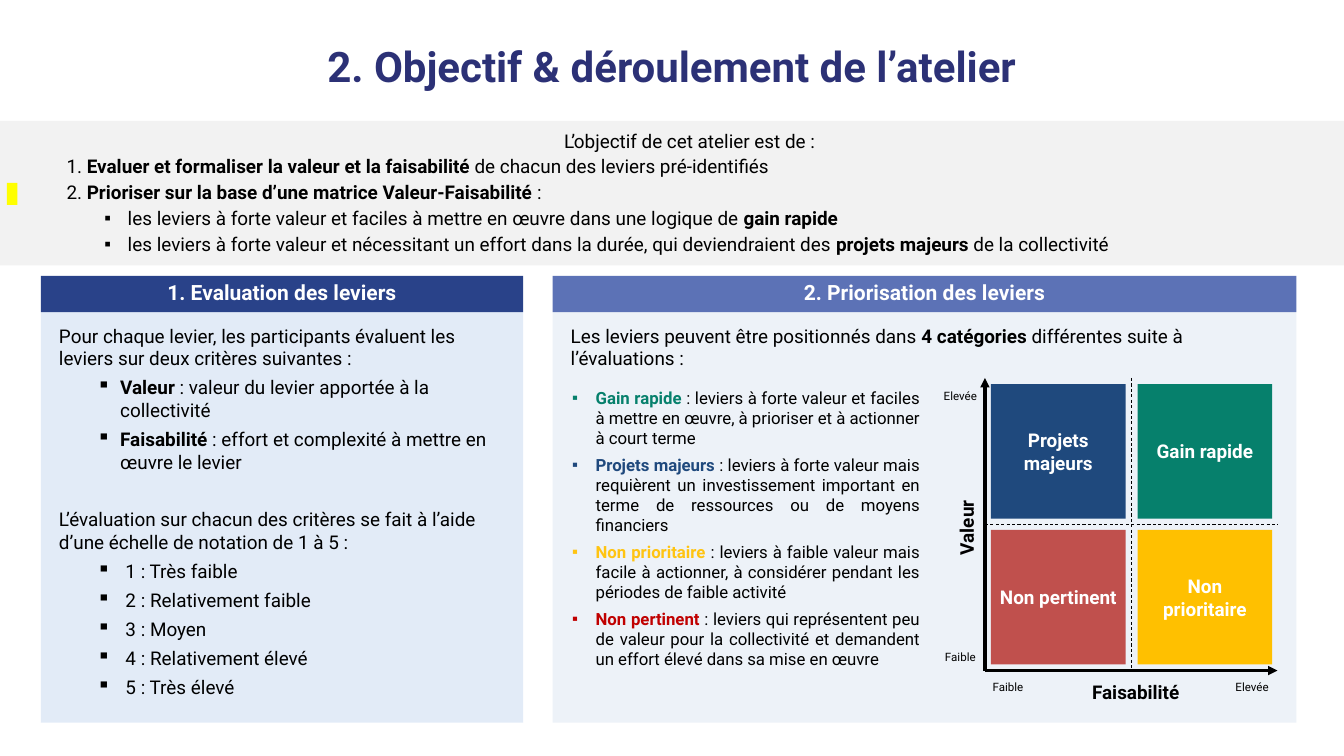
from dataclasses import dataclass

from lxml.etree import SubElement
from pptx import Presentation
from pptx.dml.color import RGBColor
from pptx.enum.dml import MSO_LINE
from pptx.enum.shapes import MSO_CONNECTOR, MSO_SHAPE
from pptx.enum.text import MSO_ANCHOR, MSO_AUTO_SIZE, PP_ALIGN
from pptx.oxml.ns import qn
from pptx.util import Pt


@dataclass(frozen=True)
class Theme:
    font: str = "Roboto"
    title: str = "2C3176"
    ink: str = "000000"
    white: str = "FFFFFF"
    band: str = "F2F2F2"
    marker: str = "FFFF00"
    evaluation: str = "294289"
    evaluation_panel: str = "C6D9F1"
    priority: str = "5C72B6"
    priority_panel: str = "DCE6F2"
    green: str = "06806C"
    blue: str = "1F497D"
    yellow: str = "FFC000"
    yellow_text: str = "FFC412"
    red: str = "C0504D"
    red_text: str = "C00000"
    title_size: int = 40
    header_size: int = 20
    body_size: int = 18
    category_size: int = 16
    scale_size: int = 11


theme = Theme()
PX = 9144


def write(frame, text, size=theme.body_size, color=theme.ink, bold=False, bold_color=None,
          align=PP_ALIGN.LEFT, before=0, left=0, hang=0):
    first = not frame.paragraphs[0].runs
    paragraph = frame.paragraphs[0] if first else frame.add_paragraph()
    properties = paragraph._p.get_or_add_pPr()
    properties.set("marL", str(left * PX))
    properties.set("indent", str(-hang * PX))
    if hang:
        SubElement(properties, qn("a:buChar")).set("char", "▪")
    else:
        SubElement(properties, qn("a:buNone"))
    paragraph.alignment = align
    paragraph.space_before = Pt(0 if first else before)
    for index, part in enumerate(text.split("*")):
        if part:
            strong = index % 2 == 1
            run = paragraph.add_run()
            run.text = part
            run.font.name = theme.font
            run.font.size = Pt(size)
            run.font.bold = bold or strong
            run.font.color.rgb = RGBColor.from_string(bold_color if strong and bold_color else color)


def block(shapes, left, top, width, height, fill=None, anchor=MSO_ANCHOR.TOP):
    area = [side * PX for side in (left, top, width, height)]
    if fill:
        shape = shapes.add_shape(MSO_SHAPE.RECTANGLE, *area)
        shape.fill.solid()
        shape.fill.fore_color.rgb = RGBColor.from_string(fill)
        shape.line.fill.background()
        shape.shadow.inherit = False
    else:
        shape = shapes.add_textbox(*area)
    shape.text_frame.word_wrap = True
    shape.text_frame.vertical_anchor = anchor
    return shape


deck = Presentation()
deck.slide_width, deck.slide_height = 1778 * PX, 1000 * PX
slide = deck.slides.add_slide(deck.slide_layouts[3])
title, objectives, categories = slide.placeholders

for holder, area in (
    (title, (109, 52, 1559, 69)),
    (objectives, (78, 166, 1669, 178)),
    (categories, (747, 508, 480, 426)),
):
    holder.left, holder.top, holder.width, holder.height = [side * PX for side in area]
    holder.text_frame.auto_size = MSO_AUTO_SIZE.NONE
    holder.text_frame.word_wrap = True
    holder.text_frame.vertical_anchor = MSO_ANCHOR.TOP

title_frame = title.text_frame
title_frame.margin_left = title_frame.margin_right = title_frame.margin_bottom = 0
title_frame.margin_top = 2 * PX
write(title_frame, "2. Objectif & déroulement de l’atelier", size=theme.title_size,
      color=theme.title, bold=True, align=PP_ALIGN.CENTER)

block(slide.shapes, 0, 160, 1778, 191, theme.band)
block(slide.shapes, 9, 242, 14, 29, theme.marker)

panels = []
for left, width, heading, header_fill, panel_fill in (
    (54, 638, "1. Evaluation des leviers", theme.evaluation, theme.evaluation_panel),
    (731, 984, "2. Priorisation des leviers", theme.priority, theme.priority_panel),
):
    panel = block(slide.shapes, left, 413, width, 543, panel_fill)
    tint = panel._element.spPr.find(qn("a:solidFill")).find(qn("a:srgbClr"))
    SubElement(tint, qn("a:alpha")).set("val", "50000")
    panel.text_frame.margin_left = panel.text_frame.margin_right = 24 * PX
    panel.text_frame.margin_top = 16 * PX
    panels.append(panel.text_frame)
    header = block(slide.shapes, left, 365, width, 48, header_fill)
    write(header.text_frame, heading, size=theme.header_size, color=theme.white,
          bold=True, align=PP_ALIGN.CENTER)

evaluation, priority = panels
write(evaluation, "Pour chaque levier, les participants évaluent les leviers sur deux critères suivantes :")
for criterion in (
    "*Valeur* : valeur du levier apportée à la collectivité",
    "*Faisabilité* : effort et complexité à mettre en œuvre le levier",
):
    write(evaluation, criterion, before=6, left=81, hang=31)
write(evaluation, "L’évaluation sur chacun des critères se fait à l’aide d’une échelle de notation de 1 à 5 :",
      before=33)
for grade in ("1 : Très faible", "2 : Relativement faible", "3 : Moyen",
              "4 : Relativement élevé", "5 : Très élevé"):
    write(evaluation, grade, before=6, left=88, hang=38)

write(priority, "Les leviers peuvent être positionnés dans *4 catégories* différentes suite à l’évaluations :")

slide.shapes._spTree.append(categories._element)
for description, accent in (
    ("*Gain rapide* : leviers à forte valeur et faciles à mettre en œuvre, "
     "à prioriser et à actionner à court terme", theme.green),
    ("*Projets majeurs* : leviers à forte valeur mais requièrent un investissement important "
     "en terme de ressources ou de moyens financiers", theme.blue),
    ("*Non prioritaire* : leviers à faible valeur mais facile à actionner, "
     "à considérer pendant les périodes de faible activité", theme.yellow_text),
    ("*Non pertinent* : leviers qui représentent peu de valeur pour la collectivité "
     "et demandent un effort élevé dans sa mise en œuvre", theme.red_text),
):
    write(categories.text_frame, description, size=theme.category_size, bold_color=accent,
          align=PP_ALIGN.JUSTIFY, before=6, left=31, hang=31)

matrix = slide.shapes.add_group_shape().shapes
for start_x, start_y, end_x, end_y, is_axis in (
    (1303, 887, 1690, 887, True),
    (1303, 887, 1303, 500, True),
    (1303, 693, 1690, 693, False),
    (1497, 500, 1497, 887, False),
):
    rule = matrix.add_connector(MSO_CONNECTOR.STRAIGHT, start_x * PX, start_y * PX, end_x * PX, end_y * PX)
    rule.line.color.rgb = RGBColor.from_string(theme.ink)
    rule.line.width = Pt(3 if is_axis else 0.75)
    if is_axis:
        SubElement(rule.line._get_or_add_ln(), qn("a:tailEnd")).set("type", "triangle")
    else:
        rule.line.dash_style = MSO_LINE.DASH
    SubElement(rule._element.spPr, qn("a:effectLst"))

for index, (category, fill) in enumerate((
    ("Projets majeurs", theme.blue),
    ("Gain rapide", theme.green),
    ("Non pertinent", theme.red),
    ("Non prioritaire", theme.yellow),
)):
    row, column = divmod(index, 2)
    quadrant = block(matrix, 1311 + column * 194, 508 + row * 193, 178, 178, fill, MSO_ANCHOR.MIDDLE)
    write(quadrant.text_frame, category, color=theme.white, bold=True, align=PP_ALIGN.CENTER)

for axis_name, left, top, angle in (("Faisabilité", 1424, 895, 0), ("Valeur", 1200, 678, 270)):
    axis_label = block(matrix, left, top, 157, 40)
    axis_label.rotation = angle
    write(axis_label.text_frame, axis_name, bold=True, align=PP_ALIGN.CENTER)

for level, left, top in (("Elevée", 1621, 895), ("Faible", 1298, 895),
                         ("Elevée", 1235, 509), ("Faible", 1235, 855)):
    level_label = block(matrix, left, top, 71, 29)
    write(level_label.text_frame, level, size=theme.scale_size, align=PP_ALIGN.CENTER)

slide.shapes._spTree.append(objectives._element)
goals = objectives.text_frame
write(goals, "L’objectif de cet atelier est de :", align=PP_ALIGN.CENTER)
write(goals, "1. *Evaluer et formaliser la valeur et la faisabilité* de chacun des leviers pré-identifiés", before=3)
write(goals, "2. *Prioriser sur la base d’une matrice Valeur-Faisabilité* :", before=3)
for target in (
    "les leviers à forte valeur et faciles à mettre en œuvre dans une logique de *gain rapide*",
    "les leviers à forte valeur et nécessitant un effort dans la durée, "
    "qui deviendraient des *projets majeurs* de la collectivité",
):
    write(goals, target, before=3, left=81, hang=31)

deck.save("out.pptx")
